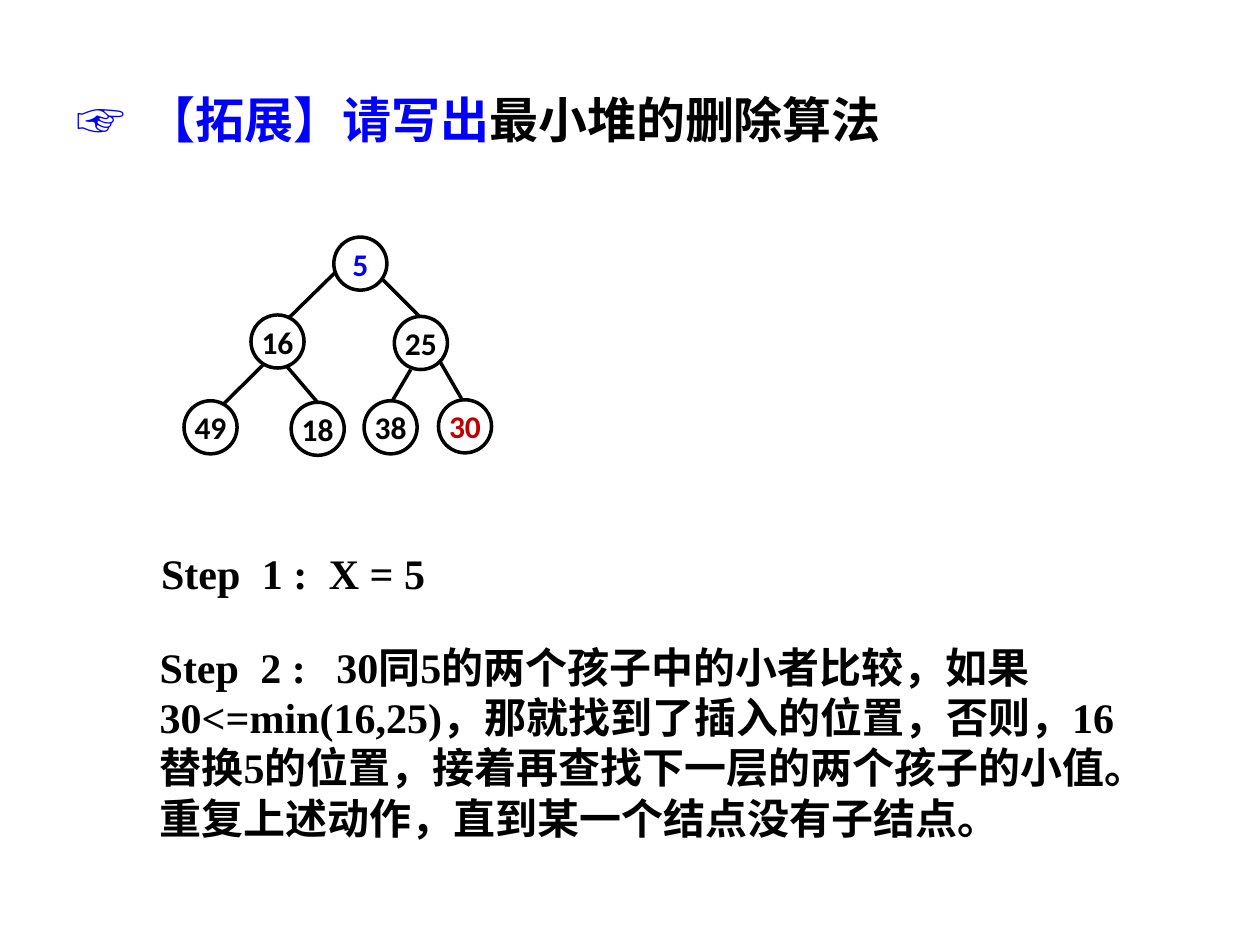
from pptx import Presentation
from pptx.dml.color import RGBColor
from pptx.enum.shapes import MSO_CONNECTOR, MSO_SHAPE
from pptx.enum.text import MSO_ANCHOR, PP_ALIGN
from pptx.oxml.ns import qn
from pptx.util import Cm, Pt
from lxml.etree import SubElement

COLORS = {"ink": "000000", "accent": "0000FF", "last": "C00000", "paper": "FFFFFF"}
NODE_SIZE = 1.07

# Heap value: left, top and text colour, in cm from the corner of the tree
NODES = {
    5: (3.02, 0, "accent"),
    16: (1.35, 1.57, "ink"),
    25: (4.24, 1.6, "ink"),
    49: (0, 3.3, "ink"),
    18: (2.16, 3.33, "ink"),
    38: (3.63, 3.3, "ink"),
    30: (5.13, 3.28, "last"),
}
# Start x, y and end x, y of each branch
BRANCHES = [
    (3.07, 0.69, 2.11, 1.63),
    (3.91, 0.76, 4.75, 1.6),
    (1.6, 2.57, 0.76, 3.4),
    (2.06, 2.59, 2.69, 3.33),
    (4.57, 2.67, 4.14, 3.4),
    (5.16, 2.51, 5.59, 3.25),
]


def rgb(name):
    return RGBColor.from_string(COLORS[name])


def style_font(font, name, size, color):
    font.name = name
    font.size = Pt(size)
    font.bold = True
    font.color.rgb = rgb(color)


def add_text(s, box, runs, tabs, font, size):
    """Place one paragraph of (text, colour) runs with tab stops in cm."""
    tf = s.shapes.add_textbox(*map(Cm, box)).text_frame
    tf.word_wrap = True
    p = tf.paragraphs[0]
    tab_list = SubElement(p._p.get_or_add_pPr(), qn("a:tabLst"))
    for pos in tabs:
        SubElement(tab_list, qn("a:tab"), pos=str(Cm(pos)), algn="l")
    for text, color in runs:
        r = p.add_run()
        r.text = text
        style_font(r.font, font, size, color)


def add_branch(s, x1, y1, x2, y2):
    line = s.shapes.add_connector(MSO_CONNECTOR.STRAIGHT, Cm(x1), Cm(y1), Cm(x2), Cm(y2))
    line.line.color.rgb = rgb("ink")
    line.line.width = Pt(2)
    SubElement(line._element.spPr, qn("a:effectLst"))


def add_node(s, left, top, value, color):
    sp = s.shapes.add_shape(MSO_SHAPE.OVAL, Cm(left), Cm(top), Cm(NODE_SIZE), Cm(NODE_SIZE))
    sp.shadow.inherit = False
    sp.fill.solid()
    sp.fill.fore_color.rgb = rgb("paper")
    sp.line.color.rgb = rgb("ink")
    sp.line.width = Pt(2)
    tf = sp.text_frame
    tf.text = str(value)
    tf.word_wrap = False
    tf.vertical_anchor = MSO_ANCHOR.MIDDLE
    tf.margin_left = tf.margin_right = tf.margin_top = tf.margin_bottom = 0
    p = tf.paragraphs[0]
    p.alignment = PP_ALIGN.CENTER
    style_font(p.runs[0].font, "Calibri", 18, color)


def add_heap(s, left, top):
    for x1, y1, x2, y2 in BRANCHES:
        add_branch(s, left + x1, top + y1, left + x2, top + y2)
    for value, (x, y, color) in NODES.items():
        add_node(s, left + x, top + y, value, color)


def add_title(s, box):
    runs = [("☞\t【拓展】请写出", "accent"), ("最小堆的删除算法", "ink")]
    add_text(s, box, runs, [1.41], "Calibri", 28)


def add_step(s, box, text, tabs):
    add_text(s, box, [(text, "ink")], tabs, "Times New Roman", 24)


def main():
    prs = Presentation()
    prs.slide_width, prs.slide_height = Cm(25.4), Cm(19.05)
    s = prs.slides.add_slide(prs.slide_layouts[6])
    add_title(s, (1.3, 1.68, 17.2, 1.45))
    add_heap(s, 3.71, 4.78)
    add_step(s, (3, 10.92, 9.32, 1.27), "Step\t1 :\tX = 5", [2.03, 3.38])
    add_step(
        s,
        (2.97, 12.8, 20.14, 4.37),
        "Step\t2 :\t30同5的两个孩子中的小者比较，如果30<=min(16,25)，"
        "那就找到了插入的位置，否则，16替换5的位置，接着再查找下一层的"
        "两个孩子的小值。重复上述动作，直到某一个结点没有子结点。",
        [2.03, 3.56],
    )
    prs.save("out.pptx")


if __name__ == "__main__":
    main()
